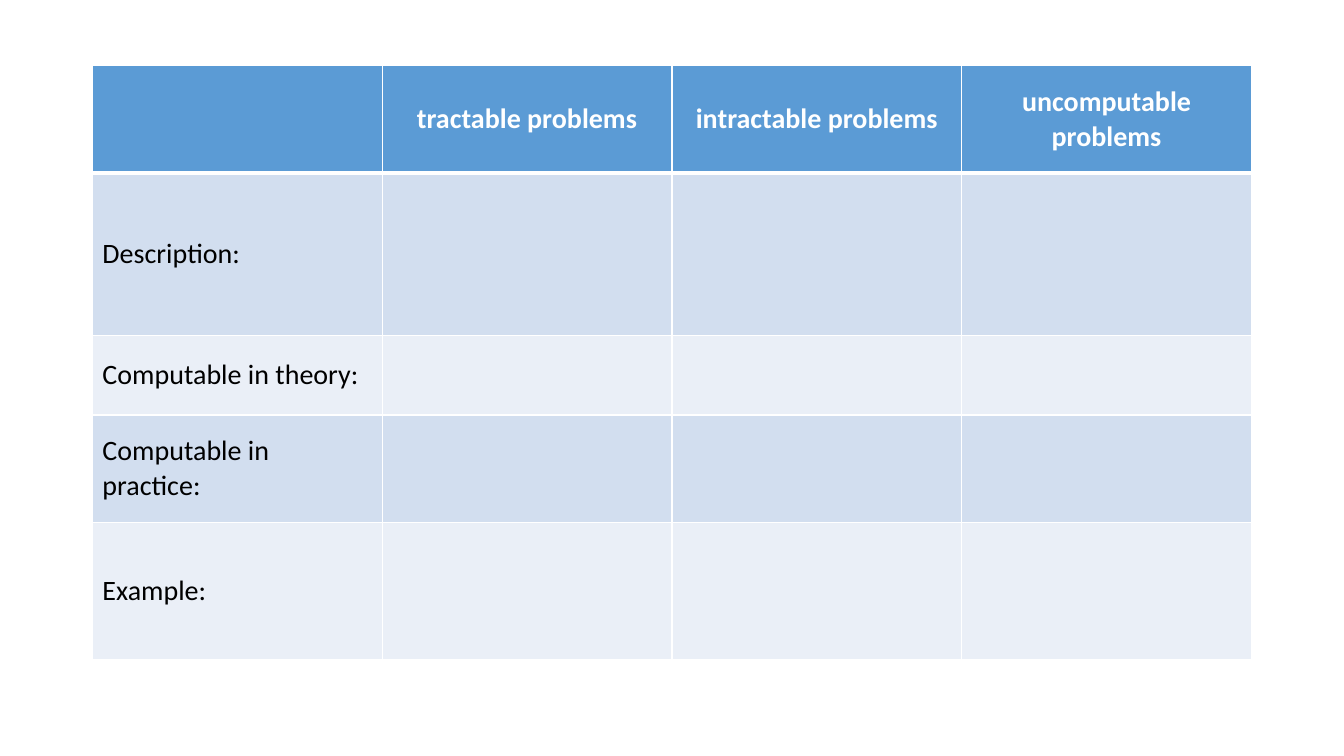
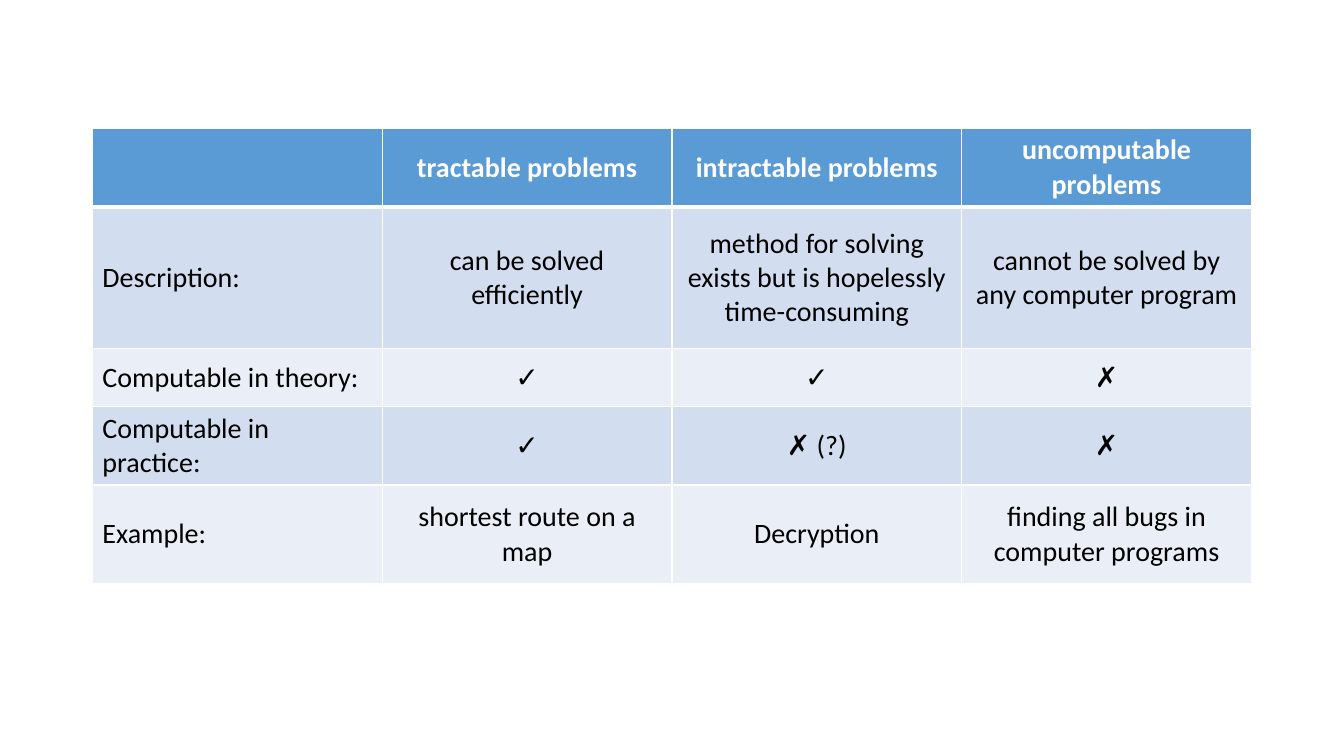
from pptx import Presentation
from pptx.dml.color import RGBColor
from pptx.enum.text import MSO_ANCHOR, PP_ALIGN
from pptx.oxml.ns import qn
from pptx.util import Pt
from lxml import etree

COLORS = {"header": "5B9BD5", "band_dark": "D2DEEF", "band_light": "EAEFF7",
          "white": "FFFFFF", "black": "000000"}
FONT, SIZE = "Calibri", 20
SLIDE_W, SLIDE_H = 960, 540
TABLE_LEFT, TABLE_W = 66, 828
THIN, THICK = 1, 3

HEADERS = ["", "tractable problems", "intractable problems", "uncomputable problems"]
LABELS = ["Description:", "Computable in theory:", "Computable in practice:", "Example:"]
ANSWERS = [
    ["can be solved efficiently",
     "method for solving exists but is hopelessly time-consuming",
     "cannot be solved by any computer program"],
    ["✓", "✓", "✗"],
    ["✓", "✗ (?)", "✗"],
    ["shortest route on a map", "Decryption", "finding all bugs in computer programs"],
]
NO_ANSWERS = [[""] * 3] * len(LABELS)

# Row heights are minimums: a row grows when its text wraps.
SLIDES = [
    {"top": 47, "height": 423.5, "rows": [76.5, 116, 57, 76.5, 98], "answers": NO_ANSWERS},
    {"top": 91.5, "height": 323.5, "rows": [41, 101.5, 41, 41, 70.5], "answers": ANSWERS},
]


def rgb(name):
    return RGBColor.from_string(COLORS[name])


def write(cell, text, color="black", bold=False, align=PP_ALIGN.LEFT):
    cell.vertical_anchor = MSO_ANCHOR.MIDDLE
    p = cell.text_frame.paragraphs[0]
    p.alignment = align
    if not text:
        return
    r = p.add_run()
    r.text = text
    r.font.name, r.font.size, r.font.bold = FONT, Pt(SIZE), bold
    r.font.color.rgb = rgb(color)


def set_borders(cell, **widths):
    """Draw white borders; widths maps L, R, T and B to points."""
    tc_pr = cell._tc.get_or_add_tcPr()
    for side, width in widths.items():
        ln = etree.SubElement(tc_pr, qn(f"a:ln{side}"), w=str(Pt(width)))
        fill = etree.SubElement(ln, qn("a:solidFill"))
        etree.SubElement(fill, qn("a:srgbClr"), val=COLORS["white"])


def style_cell(cell, row):
    set_borders(cell, L=THIN, R=THIN,
                T=THICK if row == 1 else THIN,
                B=THICK if row == 0 else THIN)
    band = "header" if row == 0 else "band_dark" if row % 2 else "band_light"
    cell.fill.solid()
    cell.fill.fore_color.rgb = rgb(band)


def add_problem_table(s, top, height, rows, answers):
    grid = [HEADERS] + [[label, *line] for label, line in zip(LABELS, answers)]
    frame = s.shapes.add_table(len(grid), len(HEADERS), Pt(TABLE_LEFT), Pt(top),
                               Pt(TABLE_W), Pt(height))
    table = frame.table
    for column in table.columns:
        column.width = Pt(TABLE_W / len(HEADERS))
    for i, line in enumerate(grid):
        table.rows[i].height = Pt(rows[i])
        for j, text in enumerate(line):
            cell = table.cell(i, j)
            style_cell(cell, i)
            write(cell, text, bold=i == 0, color="black" if i else "white",
                  align=PP_ALIGN.CENTER if j else PP_ALIGN.LEFT)
    frame.height = Pt(height)


def main():
    prs = Presentation()
    prs.slide_width, prs.slide_height = Pt(SLIDE_W), Pt(SLIDE_H)
    for content in SLIDES:
        add_problem_table(prs.slides.add_slide(prs.slide_layouts[6]), **content)
    prs.save("out.pptx")


if __name__ == "__main__":
    main()
